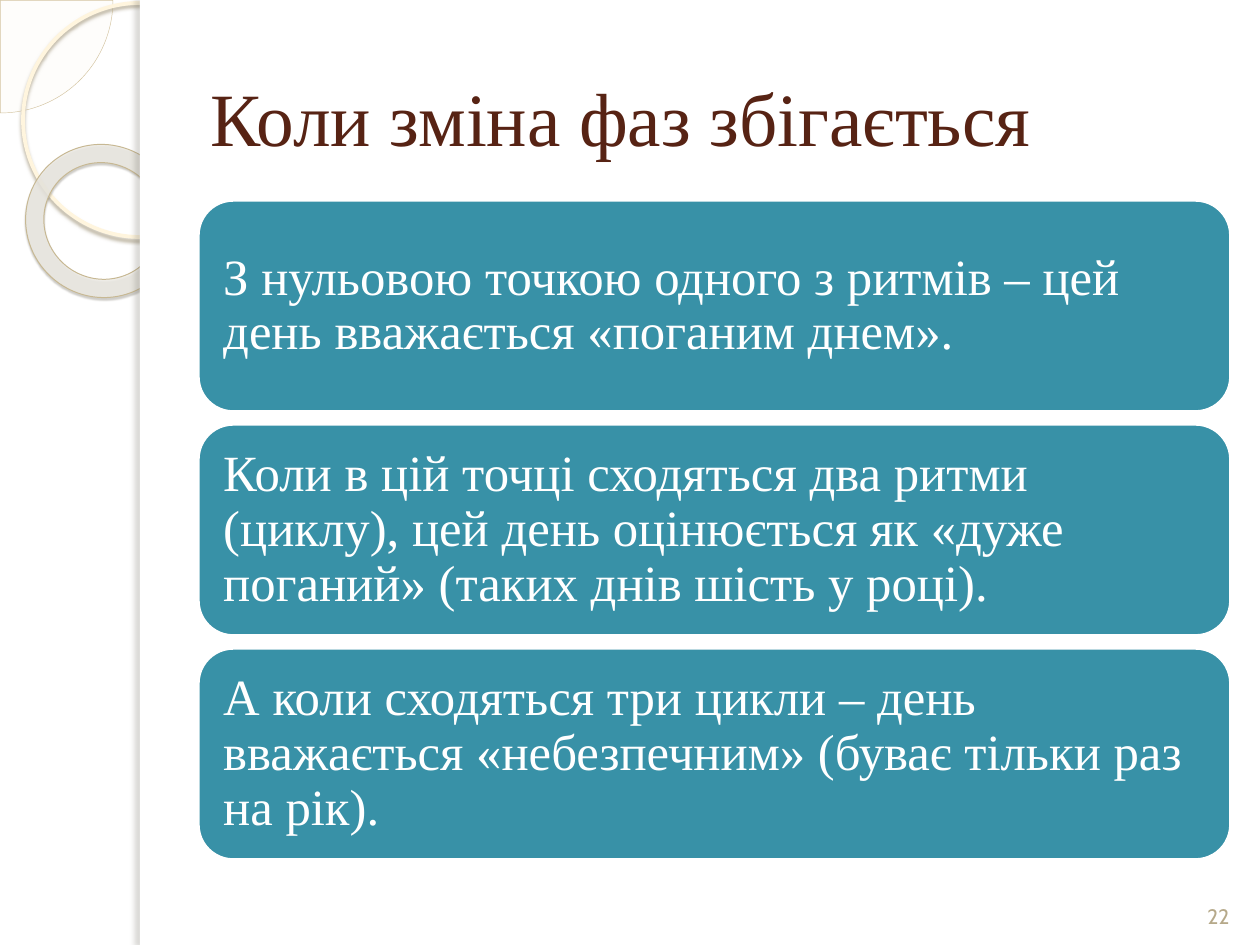
from lxml.etree import SubElement
from pptx import Presentation
from pptx.dml.color import RGBColor
from pptx.enum.shapes import MSO_SHAPE
from pptx.enum.text import MSO_ANCHOR, PP_ALIGN
from pptx.oxml.ns import qn
from pptx.util import Pt

PX = 914400 / 126

WHITE = RGBColor(0xFF, 0xFF, 0xFF)
TEAL = RGBColor(0x38, 0x91, 0xA7)
BROWN = RGBColor(0x57, 0x23, 0x14)
SAND = RGBColor(0xB6, 0xA9, 0x8A)
CREAM = RGBColor(0xFE, 0xFA, 0xF4)
PIE_LINE = RGBColor(0xD3, 0xC3, 0x9F)
RING_LINE = RGBColor(0xFF, 0xF5, 0xDE)
DONUT_FILL = RGBColor(0xED, 0xEB, 0xE5)
DONUT_LINE = RGBColor(0xC7, 0xB8, 0x93)
RING_SHADOW = RGBColor(0xB0, 0xA6, 0x8F)
DONUT_SHADOW = RGBColor(0x5A, 0x54, 0x44)
EDGE_SHADOW = RGBColor(0x73, 0x6F, 0x63)

SERIF = "Times New Roman"
CARD_TOP, CARD_HEIGHT, CARD_PITCH = 200, 212, 224
CARDS = [
    "З нульовою точкою одного з ритмів – цей день вважається «поганим днем».",
    "Коли в цій точці сходяться два ритми (циклу), цей день оцінюється як "
    "«дуже поганий» (таких днів шість у році).",
    "А коли сходяться три цикли – день вважається «небезпечним» "
    "(буває тільки раз на рік).",
]


def px(*lengths):
    return [round(n * PX) for n in lengths]


def set_alpha(color_parent, percent):
    color = color_parent.find(".//" + qn("a:srgbClr"))
    SubElement(color, qn("a:alpha"), val=str(percent * 1000))


def add_shadow(s, color, alpha, blur, dist, angle):
    """Blur and distance in points, angle in degrees."""
    effects = s._element.spPr.find(qn("a:effectLst"))
    shadow = SubElement(effects, qn("a:outerShdw"), blurRad=str(Pt(blur)),
                        dist=str(Pt(dist)), dir=str(angle * 60000),
                        algn="tl", rotWithShape="0")
    SubElement(shadow, qn("a:srgbClr"), val=str(color))
    set_alpha(shadow, alpha)


def add_shape(slide, kind, box, fill=None, line=None, width=1, alpha=None):
    s = slide.shapes.add_shape(kind, *px(*box))
    s.shadow.inherit = False
    if fill is None:
        s.fill.background()
    else:
        s.fill.solid()
        s.fill.fore_color.rgb = fill
        if alpha is not None:
            set_alpha(s._element.spPr.find(qn("a:solidFill")), alpha)
    if line is None:
        s.line.fill.background()
    else:
        s.line.color.rgb = line
        s.line.width = Pt(width)
    return s


def set_text(s, text, font, size, color, anchor, align=PP_ALIGN.LEFT):
    tf = s.text_frame
    tf.word_wrap = True
    tf.vertical_anchor = anchor
    p = tf.paragraphs[0]
    p.text = text
    p.alignment = align
    p.font.name = font
    p.font.size = Pt(size)
    p.font.color.rgb = color
    return tf


def add_side_ornament(slide):
    pie = add_shape(slide, MSO_SHAPE.PIE, (-112, -112, 225, 225),
                    CREAM, PIE_LINE, 0.25, alpha=33)
    pie.adjustments[0] = 0
    pie.adjustments[1] = 54

    ring = add_shape(slide, MSO_SHAPE.OVAL, (23, 3, 234, 234),
                     line=RING_LINE, width=2.15)
    add_shadow(ring, RING_SHADOW, 85, 2, 2, 90)

    donut = add_shape(slide, MSO_SHAPE.DONUT, (25, 145, 155, 152),
                      DONUT_FILL, DONUT_LINE, 0.58, alpha=80)
    donut.adjustments[0] = 0.12
    donut.rotation = 38.6
    add_shadow(donut, DONUT_SHADOW, 35, 1, 1.2, 75)

    add_shape(slide, MSO_SHAPE.RECTANGLE, (140, 0, 1120, 945), WHITE)
    edge = add_shape(slide, MSO_SHAPE.RECTANGLE, (140, 0, 10, 945), WHITE)
    add_shadow(edge, EDGE_SHADOW, 25, 3, 3, 180)


def add_card(slide, top, text):
    card = add_shape(slide, MSO_SHAPE.ROUNDED_RECTANGLE,
                     (198, top, 1033, CARD_HEIGHT), TEAL, WHITE, 2)
    tf = set_text(card, text, SERIF, 29, WHITE, MSO_ANCHOR.MIDDLE)
    tf.margin_left = tf.margin_right = tf.margin_top = tf.margin_bottom = px(15)[0]
    tf.paragraphs[0].line_spacing = 0.9


def main():
    prs = Presentation()
    prs.slide_width, prs.slide_height = px(1260, 945)
    slide = prs.slides.add_slide(prs.slide_layouts[6])

    add_side_ornament(slide)
    title = slide.shapes.add_textbox(*px(198, 38, 1033, 157))
    set_text(title, "Коли зміна фаз збігається", SERIF, 43, BROWN,
             MSO_ANCHOR.MIDDLE)
    for i, text in enumerate(CARDS):
        add_card(slide, CARD_TOP + i * CARD_PITCH, text)
    number = slide.shapes.add_textbox(*px(1187, 869, 63, 66))
    set_text(number, "22", "Cabin", 12, SAND, MSO_ANCHOR.BOTTOM,
             PP_ALIGN.CENTER)

    prs.save("out.pptx")


if __name__ == "__main__":
    main()
